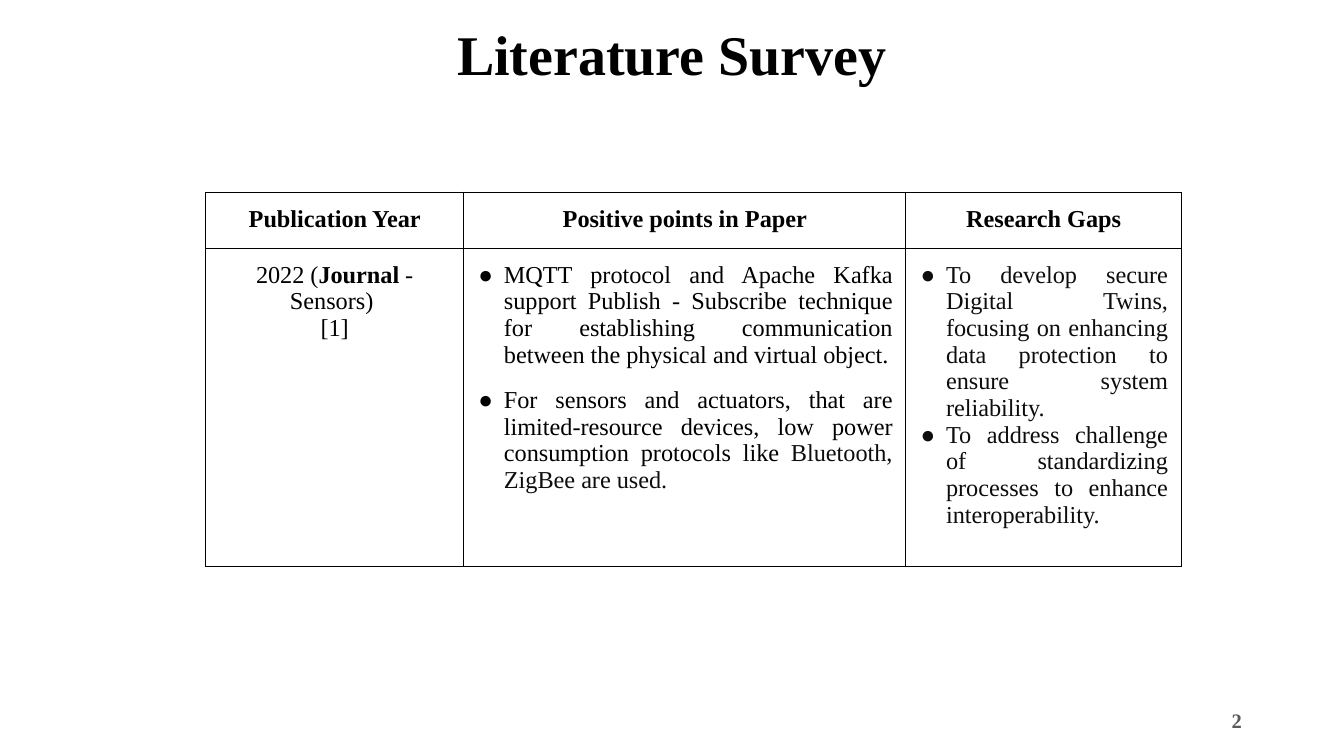
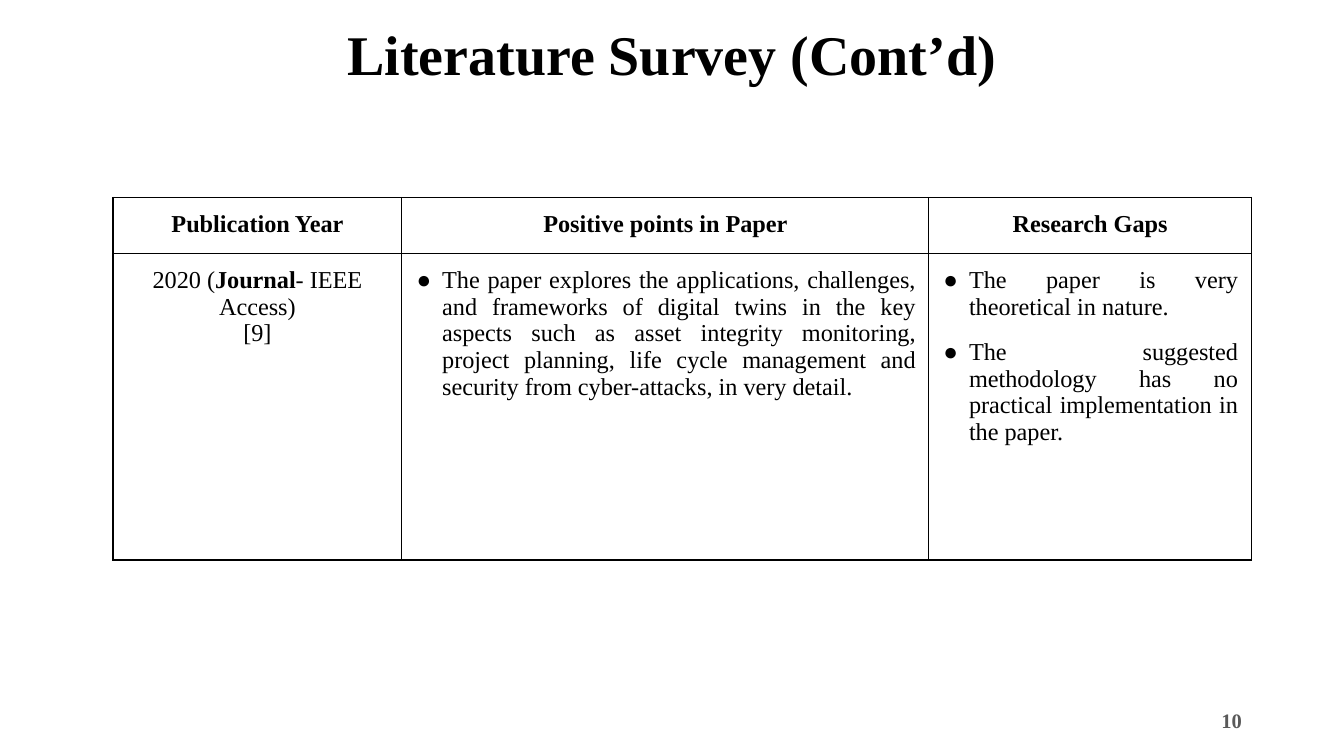
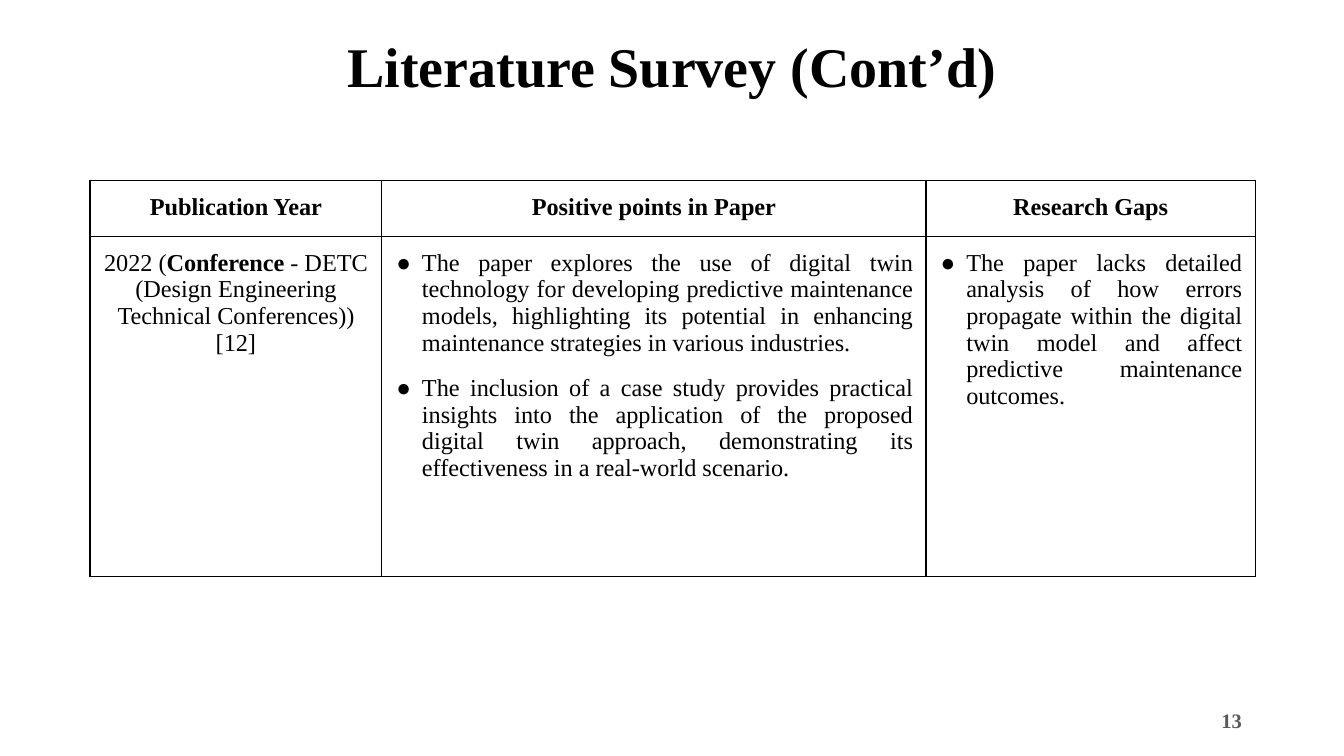
"""Build three literature survey slides, each with a title, a table and a page number."""
import pptx
import pptx.dml.color
import pptx.enum.text
import pptx.oxml
import pptx.oxml.ns
import pptx.util
from lxml import etree

Inches = pptx.util.Inches
Pt = pptx.util.Pt
RGB = pptx.dml.color.RGBColor
ALIGN = pptx.enum.text.PP_ALIGN
ANCHOR = pptx.enum.text.MSO_ANCHOR
qn = pptx.oxml.ns.qn

BLACK = RGB(0x00, 0x00, 0x00)
INK = RGB(0x0D, 0x0D, 0x0D)
GREY = RGB(0x59, 0x59, 0x59)
WHITE = RGB(0xFF, 0xFF, 0xFF)
FONT = "Times New Roman"
HEADS = ["Publication Year", "Positive points in Paper", "Research Gaps"]

PAGES = [
    {
        "title": "Literature Survey", "top": 0.16, "high": 1.09, "page": "2",
        "at": (1.53, 1.43), "cols": [1.92, 3.29, 2.05], "rows": [0.25, 1.86],
        "year": "2022 (", "kind": "Journal", "venue": " - Sensors) ", "ref": "[1]",
        "lists": [
            (10, [
                [("MQTT protocol and Apache Kafka support Publish - Subscribe technique for "
                  "establishing communication between the physical and virtual object.", BLACK)],
                [("For sensors and actuators, that are limited-resource devices, low power "
                  "consumption protocols like ", BLACK),
                 ("Bluetooth, ZigBee are used.", INK)],
            ]),
            (0, [
                [("To develop secure Digital Twins, focusing on enhancing data protection to "
                  "ensure system reliability.", INK)],
                [("To address challenge of standardizing processes to enhance "
                  "interoperability.", INK)],
            ]),
        ],
    },
    {
        "title": "Literature Survey (Cont’d)", "top": 0.16, "high": 1.09, "page": "10",
        "at": (0.84, 1.47), "cols": [2.15, 3.92, 2.4], "rows": [0.31, 2.28],
        "year": "2020 (", "kind": "Journal", "venue": "- IEEE Access)", "ref": "[9]",
        "lists": [
            (10, [
                [("The paper explores the applications, challenges, and frameworks of digital "
                  "twins in the key aspects such as asset integrity monitoring, project "
                  "planning, life cycle management and security from cyber-attacks, in very "
                  "detail.", BLACK)],
            ]),
            (10, [
                [("The paper is very theoretical in nature. ", BLACK)],
                [("The suggested methodology has no practical implementation in the "
                  "paper.", BLACK)],
            ]),
        ],
    },
    {
        "title": "Literature Survey (Cont’d)", "top": 0.25, "high": 0.84, "page": "13",
        "at": (0.67, 1.34), "cols": [2.17, 4.05, 2.45], "rows": [0.34, 2.53],
        "year": "2022 (", "kind": "Conference",
        "venue": " - DETC (Design Engineering Technical Conferences))", "ref": "[12]",
        "lists": [
            (10, [
                [("The paper explores the use of digital twin technology for developing "
                  "predictive maintenance models, highlighting its potential in enhancing "
                  "maintenance strategies in various industries.", BLACK)],
                [("The inclusion of a case study provides practical insights into the "
                  "application of the proposed digital twin approach, demonstrating its "
                  "effectiveness in a real-world scenario.", BLACK)],
            ]),
            (10, [
                [("The paper lacks detailed analysis of how errors propagate within the "
                  "digital twin model and affect predictive maintenance outcomes.", BLACK)],
            ]),
        ],
    },
]


def add_run(para, text, size=13, color=BLACK, bold=False):
    run = para.add_run()
    run.text = text
    run.font.name = FONT
    run.font.size = Pt(size)
    run.font.bold = bold
    run.font.color.rgb = color


def add_box(slide, left, top, width, height, align):
    box = slide.shapes.add_textbox(Inches(left), Inches(top), Inches(width), Inches(height))
    frame = box.text_frame
    frame.word_wrap = True
    frame.margin_left = frame.margin_right = Inches(0.07)
    frame.margin_top = frame.margin_bottom = Inches(0.04)
    frame.paragraphs[0].alignment = align
    return box


deck = pptx.Presentation()
deck.slide_width = Inches(10)
deck.slide_height = Inches(10 * 9 / 16)

for page in PAGES:
    slide = deck.slides.add_slide(deck.slide_layouts[6])

    title = add_box(slide, 0.69, page["top"], 8.62, page["high"], ALIGN.CENTER)
    title.line.color.rgb = WHITE
    title.line.width = Pt(0.75)
    para = title.text_frame.paragraphs[0]
    para.line_spacing = 0.9
    add_run(para, page["title"], 30, bold=True)

    left, top = page["at"]
    table = slide.shapes.add_table(
        2, 3, Inches(left), Inches(top),
        Inches(sum(page["cols"])), Inches(sum(page["rows"]))).table
    table.first_row = table.horz_banding = False
    for col, width in zip(table.columns, page["cols"]):
        col.width = Inches(width)
    for row, height in zip(table.rows, page["rows"]):
        row.height = Inches(height)

    for cell in table.iter_cells():
        cell.margin_left = cell.margin_right = Inches(0.1)
        cell.margin_top = cell.margin_bottom = Inches(0.1)
        props = cell._tc.get_or_add_tcPr()
        for side in ("a:lnL", "a:lnR", "a:lnT", "a:lnB"):
            edge = etree.SubElement(props, qn(side), w=str(Pt(0.75)))
            fill = etree.SubElement(edge, qn("a:solidFill"))
            etree.SubElement(fill, qn("a:srgbClr"), val=str(BLACK))
        cell.fill.background()

    for num, head in enumerate(HEADS):
        para = table.cell(0, num).text_frame.paragraphs[0]
        para.alignment = ALIGN.CENTER
        add_run(para, head, bold=True)

    frame = table.cell(1, 0).text_frame
    para = frame.paragraphs[0]
    add_run(para, page["year"])
    add_run(para, page["kind"], bold=True)
    add_run(para, page["venue"])
    add_run(frame.add_paragraph(), page["ref"])
    for para in frame.paragraphs:
        para.alignment = ALIGN.CENTER

    for num, (gap, points) in enumerate(page["lists"], 1):
        frame = table.cell(1, num).text_frame
        for spot, point in enumerate(points):
            para = frame.add_paragraph() if spot else frame.paragraphs[0]
            para.alignment = ALIGN.JUSTIFY
            para.space_before = Pt(gap if spot else 0)
            para.space_after = Pt(gap if spot == len(points) - 1 else 0)
            props = para._p.get_or_add_pPr()
            props.set("marL", str(Inches(0.2)))
            props.set("indent", str(Inches(-0.19)))
            tint = etree.SubElement(props, qn("a:buClr"))
            etree.SubElement(tint, qn("a:srgbClr"), val=str(point[0][1]))
            etree.SubElement(props, qn("a:buFont"), typeface=FONT)
            etree.SubElement(props, qn("a:buChar"), char="●")
            for text, color in point:
                add_run(para, text, color=color)

    foot = add_box(slide, 7.06, 5.21, 2.25, 0.3, ALIGN.RIGHT)
    foot.text_frame.vertical_anchor = ANCHOR.MIDDLE
    add_run(foot.text_frame.paragraphs[0], page["page"], 11, GREY, True)

deck.save("out.pptx")
